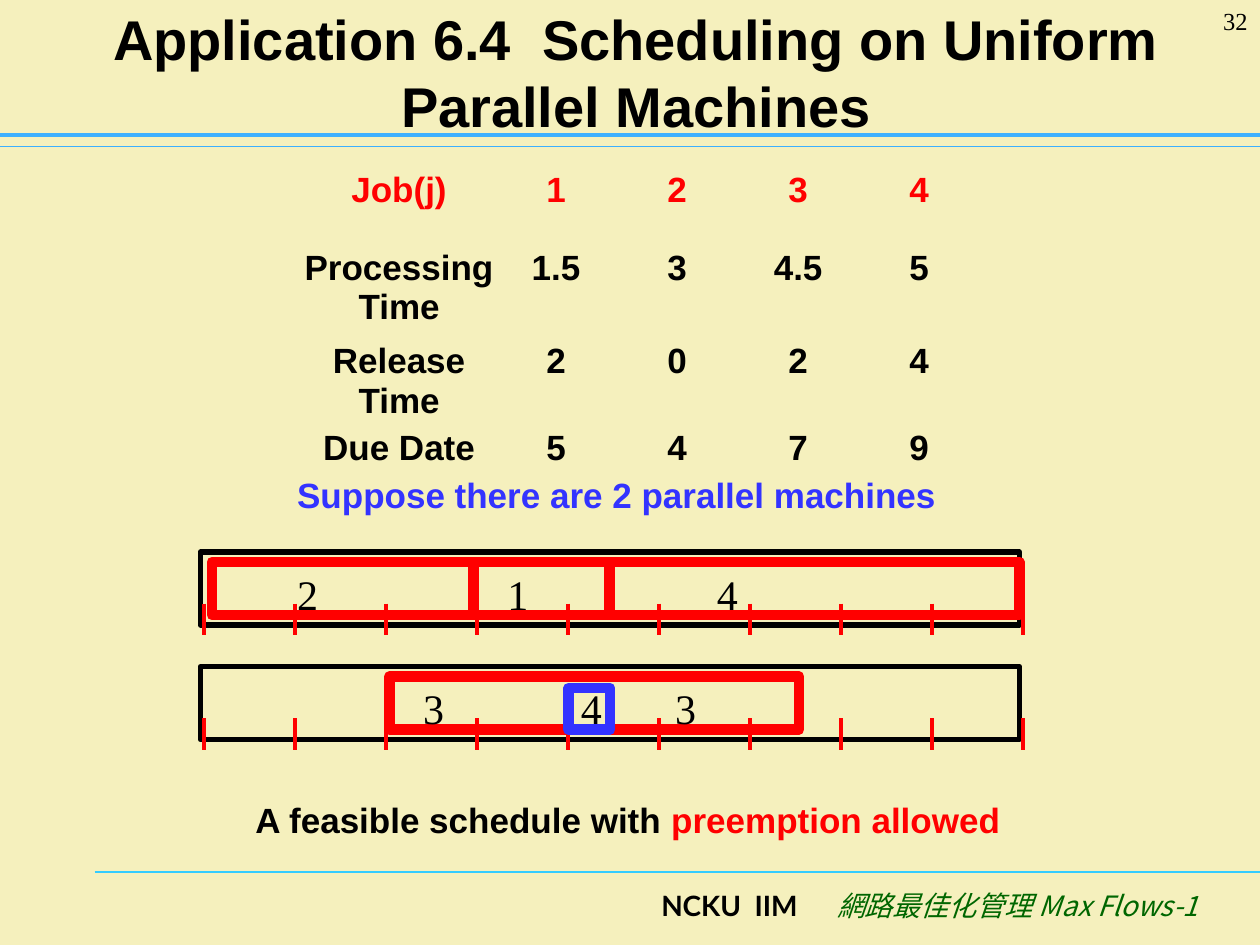
from lxml.etree import SubElement
from pptx import Presentation
from pptx.dml.color import RGBColor
from pptx.enum.shapes import MSO_CONNECTOR, MSO_SHAPE
from pptx.enum.text import MSO_ANCHOR, MSO_AUTO_SIZE, PP_ALIGN
from pptx.oxml.ns import qn
from pptx.util import Cm, Pt

BLACK, RED, BLUE, GREEN, SKY = "000000", "FF0000", "3333FF", "006600", "3DB0FF"
SANS, SERIF, FOOTER_LATIN, FOOTER_CJK = "Arial", "Times New Roman", "Lato", "Noto Sans CJK SC"

TITLE = "Application 6.4  Scheduling on Uniform Parallel Machines"
JOBS = [
    ("Job(j)", "1", "2", "3", "4"),
    ("Processing\nTime", "1.5", "3", "4.5", "5"),
    ("Release\nTime", "2", "0", "2", "4"),
    ("Due Date", "5", "4", "7", "9"),
]
ROW_HEIGHTS = [1.57, 1.88, 1.75, 0.85]
COLUMN_WIDTHS = [3.89] + [2.44] * 4
RULES = [(1.91, 17.58, "33CCFF", 0.75), (0, 2.95, SKY, 0.75), (0, 2.72, SKY, 2.5)]

BAR_OFFSET, BAR_HEIGHT = 0.2, 1.07
MACHINES = [
    {
        "bars": [(4.27, 5.28), (9.55, 2.74), (12.29, 8.26)],
        "inserted": [],
        "labels": [("2", 5.74), ("1", 9.98), ("4", 14.2)],
    },
    {
        "bars": [(7.85, 8.26)],
        "inserted": [(11.46, 0.84)],
        "labels": [("3", 8.28), ("4", 11.46), ("3", 13.36)],
    },
]
MACHINE_LEFT, MACHINE_TOP, MACHINE_PITCH = 4.04, 11.13, 2.31
TICK_LEFT, TICK_PITCH, TICK_COUNT = 4.11, 1.835, 10


def colour(hex_value):
    """Turn a hex string into a colour."""
    return RGBColor.from_string(hex_value)


def format_run(run, size, face, hex_value, bold=False, italic=False):
    """Apply size, face, colour and style to a run."""
    font = run.font
    font.size, font.name, font.bold, font.italic = Pt(size), face, bold, italic
    font.color.rgb = colour(hex_value)
    SubElement(font._element, qn("a:ea")).set("typeface", face)


def add_text(slide, box, runs, align=PP_ALIGN.LEFT):
    """Add a wrapping text box made of (text, format) runs."""
    frame = slide.shapes.add_textbox(*map(Cm, box)).text_frame
    frame.word_wrap = True
    paragraph = frame.paragraphs[0]
    paragraph.alignment = align
    for text, style in runs:
        run = paragraph.add_run()
        run.text = text
        format_run(run, *style)


def add_line(slide, start, end, hex_value, width):
    """Draw a straight line without a shadow."""
    line = slide.shapes.add_connector(MSO_CONNECTOR.STRAIGHT, *map(Cm, start + end))
    line.line.color.rgb = colour(hex_value)
    line.line.width = Pt(width)
    SubElement(line._element.spPr, qn("a:effectLst"))


def add_frame(slide, box, hex_value, width):
    """Draw an unfilled rectangle."""
    frame = slide.shapes.add_shape(MSO_SHAPE.RECTANGLE, *map(Cm, box))
    frame.shadow.inherit = False
    frame.fill.background()
    frame.line.color.rgb = colour(hex_value)
    frame.line.width = Pt(width)


def add_title(slide):
    """Place and format the title."""
    title = slide.shapes.title
    title.left, title.top, title.width, title.height = map(Cm, (0.89, 0.13, 23.88, 2.64))
    frame = title.text_frame
    frame.text = TITLE
    frame.auto_size = MSO_AUTO_SIZE.NONE
    frame.vertical_anchor = MSO_ANCHOR.MIDDLE
    frame.paragraphs[0].alignment = PP_ALIGN.CENTER
    format_run(frame.paragraphs[0].runs[0], 32, SANS, BLACK, True)


def add_job_table(slide):
    """Add the borderless table of job data."""
    box = (6.1, 3.45, sum(COLUMN_WIDTHS), sum(ROW_HEIGHTS))
    table = slide.shapes.add_table(len(JOBS), len(JOBS[0]), *map(Cm, box)).table
    table.first_row = table.horz_banding = False
    for column, width in zip(table.columns, COLUMN_WIDTHS):
        column.width = Cm(width)
    for row, height, values in zip(table.rows, ROW_HEIGHTS, JOBS):
        row.height = Cm(height)
        for cell, value in zip(row.cells, values):
            cell.text = value
            cell.margin_left = cell.margin_right = cell.margin_top = cell.margin_bottom = 0
            for side in ("a:lnL", "a:lnR", "a:lnT", "a:lnB"):
                border = SubElement(cell._tc.get_or_add_tcPr(), qn(side))
                SubElement(border, qn("a:noFill"))
            cell.fill.background()
            for paragraph in cell.text_frame.paragraphs:
                paragraph.alignment = PP_ALIGN.CENTER
                format_run(paragraph.runs[0], 20, SANS, RED if values is JOBS[0] else BLACK, True)


def add_machine(slide, top, machine):
    """Draw one machine's time axis with its scheduled jobs."""
    add_frame(slide, (MACHINE_LEFT, top, 16.51, 1.47), BLACK, 3)
    for tick in range(TICK_COUNT):
        x = TICK_LEFT + tick * TICK_PITCH
        add_line(slide, (x, top + 1.04), (x, top + 1.68), RED, 2.25)
    bar_top = top + BAR_OFFSET
    for left, width in machine["bars"]:
        add_frame(slide, (left, bar_top, width, BAR_HEIGHT), RED, 6)
    for left, width in machine["inserted"]:
        add_frame(slide, (left, bar_top + 0.23, width, 0.84), BLUE, 6)
    for job, left in machine["labels"]:
        add_text(slide, (left, bar_top, 2.34, 1.27), [(job, (24, SERIF, BLACK))])


def main():
    """Build the scheduling slide."""
    deck = Presentation()
    deck.slide_width, deck.slide_height = Cm(25.4), Cm(19.05)
    slide = deck.slides.add_slide(deck.slide_layouts[5])
    slide.background.fill.solid()
    slide.background.fill.fore_color.rgb = colour("F5F0BD")

    for left, y, hex_value, width in RULES:
        add_line(slide, (left, y), (25.4, y), hex_value, width)
    add_text(slide, (4.65, 17.78, 11.68, 1.27),
             [("NCKU  IIM", (16, FOOTER_LATIN, BLACK, True))], PP_ALIGN.RIGHT)
    add_text(slide, (16.33, 17.78, 8.08, 1.27),
             [("網路最佳化管理 Max Flows-1", (16, FOOTER_CJK, GREEN, False, True))], PP_ALIGN.RIGHT)
    add_title(slide)
    for index, machine in enumerate(MACHINES):
        add_machine(slide, MACHINE_TOP + index * MACHINE_PITCH, machine)
    add_text(slide, (4.9, 15.98, 17.78, 1.12),
             [("A feasible schedule with ", (20, SANS, BLACK, True)),
              ("preemption allowed", (20, SANS, RED, True))])
    add_job_table(slide)
    add_text(slide, (5.74, 9.42, 14.81, 1.12),
             [("Suppose there are 2 parallel machines", (20, SANS, BLUE, True))])
    add_text(slide, (23.29, 0, 2.11, 1.27), [("32", (14, SERIF, BLACK))], PP_ALIGN.RIGHT)
    deck.save("out.pptx")


if __name__ == "__main__":
    main()
